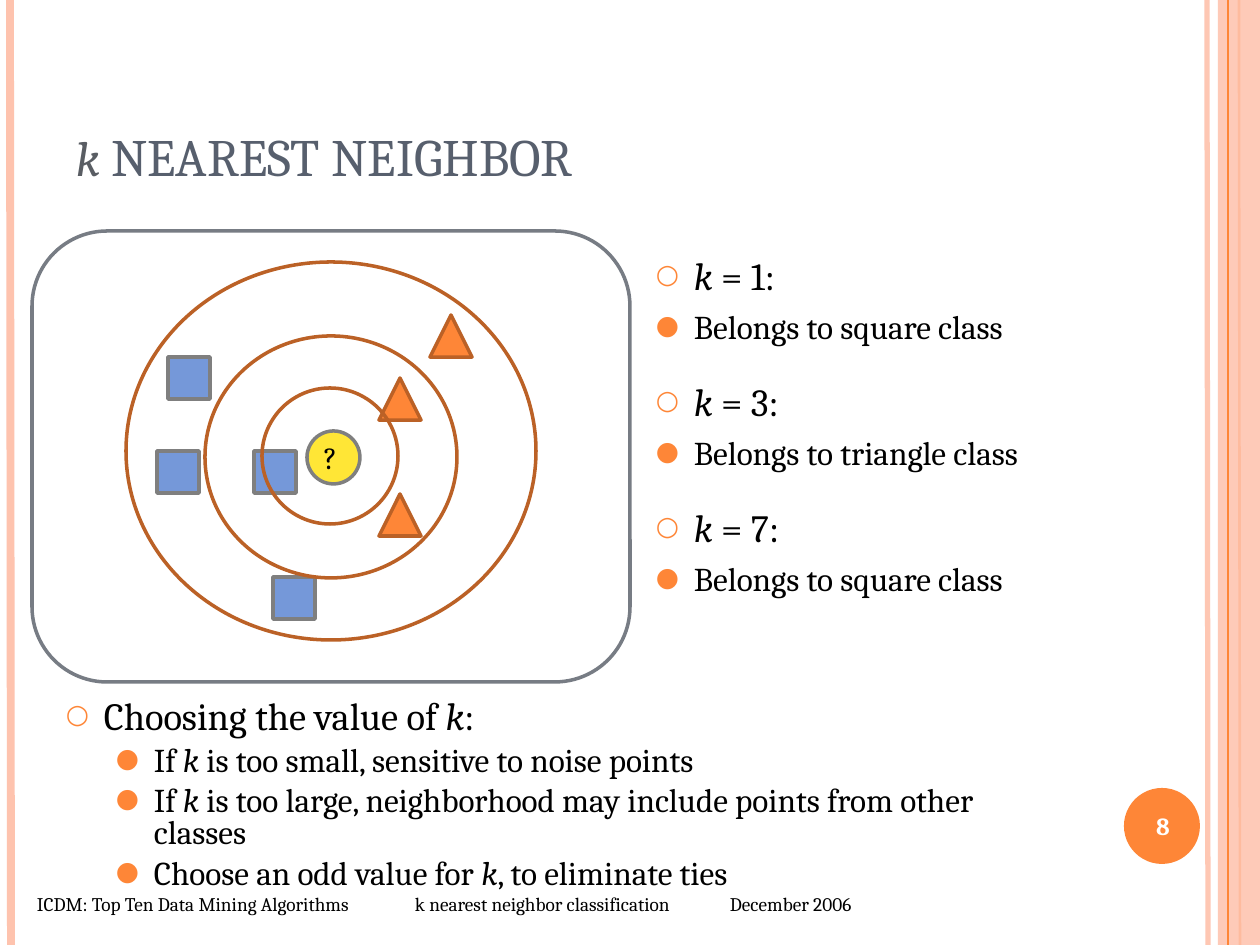
"""Build the k nearest neighbor slide."""
from lxml import etree
from pptx import Presentation
from pptx import util as u
from pptx.dml.color import RGBColor
from pptx.enum import shapes, text
from pptx.oxml.ns import qn

PX = 914400 / 126
FONT = "Cambria"
COLORS = {
    "peach": "FEC3AE", "orange": "FE8637", "rust": "BB6126", "frame": "777C84",
    "square": "7598D9", "edge": "7F7F7F", "query": "FFE636", "title": "575F6D",
    "title_k": "595D63", "black": "000000", "white": "FFFFFF",
}
RGB = {name: RGBColor.from_string(value) for name, value in COLORS.items()}
STYLES = {
    "plain": dict(size=11, indent=5),
    "mark": dict(size=18),
    "number": dict(size=14, indent=5),
    "title": dict(size=30, indent=5),
    "head": dict(size=22, indent=43, before=6, bullet="○", scale=69),
    "answer": dict(size=19, indent=43, before=4.5, bullet="●", scale=80),
    "detail": dict(size=19, indent=93, before=5, bullet="●", scale=80, level=1),
}

prs = Presentation()
prs.slide_width, prs.slide_height = u.Inches(10), u.Inches(7.5)
slide = prs.slides.add_slide(prs.slide_layouts[5])


def add_shape(kind, box, fill=None, line=None):
    shape = slide.shapes.add_shape(kind, *[round(v * PX) for v in box])
    shape.shadow.inherit = False
    if fill:
        shape.fill.solid()
        shape.fill.fore_color.rgb = RGB[fill]
    else:
        shape.fill.background()
    if line:
        shape.line.color.rgb = RGB[line]
        shape.line.width = u.Pt(2)
    else:
        shape.line.fill.background()
    return shape


def write(box, paragraphs, holder=None, insets=(0, 0, 5, 0), color="black",
          align="LEFT", anchor="TOP", spacing=1.0):
    """Fill a text box; pieces between bars are italic."""
    holder = holder or slide.shapes.add_textbox(0, 0, 0, 0)
    holder.left, holder.top, holder.width, holder.height = [round(v * PX) for v in box]
    frame = holder.text_frame
    frame.word_wrap = True
    frame.auto_size = text.MSO_AUTO_SIZE.NONE
    frame.vertical_anchor = text.MSO_ANCHOR[anchor]
    (frame.margin_left, frame.margin_top,
     frame.margin_right, frame.margin_bottom) = [round(v * PX) for v in insets]
    for index, (style_name, wording) in enumerate(paragraphs):
        style = STYLES[style_name]
        para = frame.paragraphs[0] if index == 0 else frame.add_paragraph()
        para.alignment = text.PP_ALIGN[align]
        para.level = style.get("level", 0)
        para.line_spacing = spacing
        para.space_before = u.Pt(style.get("before", 0))
        props = para._p.get_or_add_pPr()
        props.set("marL", str(round(style.get("indent", 0) * PX)))
        props.set("indent", str(round(-38 * PX)) if "bullet" in style else "0")
        if "bullet" in style:
            bullet_color = etree.SubElement(props, qn("a:buClr"))
            etree.SubElement(bullet_color, qn("a:srgbClr"), val=COLORS["orange"])
            etree.SubElement(props, qn("a:buSzPct"), val=str(style["scale"] * 1000))
            etree.SubElement(props, qn("a:buFont"), typeface=FONT)
            etree.SubElement(props, qn("a:buChar"), char=style["bullet"])
        for position, piece in enumerate(wording.split("|")):
            if piece:
                run = para.add_run()
                run.text = piece
                run.font.name = FONT
                run.font.size = u.Pt(style["size"])
                run.font.italic = position % 2 == 1
                run.font.color.rgb = RGB[color]
    return frame


for x, drift, color, weight, opacity in [
    (1207, 1, "peach", 3, 93), (10, 1, "peach", 4.5, 100),
    (1239, 1, "orange", 1.5, 100), (1218, 0, "peach", 0, 87),
    (1228, 0, "orange", 0.75, 100),
]:
    if weight:
        stripe = slide.shapes.add_connector(
            shapes.MSO_CONNECTOR.STRAIGHT, round(x * PX), 0, round((x + drift) * PX), round(945 * PX))
        stripe.line.color.rgb = RGB[color]
        stripe.line.width = u.Pt(weight)
        etree.SubElement(stripe._element.spPr, qn("a:effectLst"))
    else:
        stripe = add_shape(shapes.MSO_SHAPE.RECTANGLE, (x, 0, 42, 945), color)
    if opacity < 100:
        tint = next(stripe._element.spPr.iter(qn("a:srgbClr")))
        etree.SubElement(tint, qn("a:alpha"), val=str(opacity * 1000))

add_shape(shapes.MSO_SHAPE.OVAL, (1124, 788, 76, 76), "orange")
page = write((1120, 804, 86, 44), [("number", "8")], color="white", align="CENTER", anchor="MIDDLE")
page.paragraphs[0].runs[0].font.bold = True

title = write((63, 0, 1029, 195), [("title", "|k| NEAREST NEIGHBOR")], slide.shapes.title,
              insets=(8, 8, 18, 8), color="title", anchor="BOTTOM")
title_k = title.paragraphs[0].runs[0].font
title_k.size = u.Pt(28)
title_k.color.rgb = RGB["title_k"]

write((53, 693, 1018, 252), [
    ("head", "Choosing the value of |k|:"),
    ("detail", "If |k| is too small, sensitive to noise points"),
    ("detail", "If |k| is too large, neighborhood may include points from other classes"),
    ("detail", "Choose an odd value for |k|, to eliminate ties"),
], insets=(8, 8, 18, 8), spacing=0.8)

for row, (k, winner) in enumerate([(1, "square"), (3, "triangle"), (7, "square")]):
    write((651, 252 + 126 * row, 537, 111),
          [("head", f"|k| = {k}:"), ("answer", f"Belongs to {winner} class")])

footer = write((32, 892, 1147, 37), [
    ("plain", "ICDM: Top Ten Data Mining Algorithms\t\tk nearest neighbor classification\tDecember 2006")])
tabs = etree.SubElement(footer.paragraphs[0]._p.get_or_add_pPr(), qn("a:tabLst"))
for inches in (3, 4, 7):
    etree.SubElement(tabs, qn("a:tab"), pos=str(u.Inches(inches)), algn="l")

add_shape(shapes.MSO_SHAPE.OVAL, (126, 262, 410, 378), line="rust")
add_shape(shapes.MSO_SHAPE.ROUNDED_RECTANGLE, (32, 231, 598, 451), line="frame")
for x, y in [(430, 315), (379, 494), (379, 378)]:
    add_shape(shapes.MSO_SHAPE.ISOSCELES_TRIANGLE, (x, y, 42, 42), "orange", "rust")
for x, y in [(273, 577), (168, 357), (157, 451), (254, 451)]:
    add_shape(shapes.MSO_SHAPE.RECTANGLE, (x, y, 42, 42), "square", "edge")
add_shape(shapes.MSO_SHAPE.OVAL, (307, 431, 53, 53), "query", "edge")
write((315, 432, 37, 49), [("mark", "?")], insets=(5, 5, 11, 5), align="CENTER", anchor="MIDDLE")
for box in [(205, 336, 252, 242), (262, 388, 136, 136)]:
    add_shape(shapes.MSO_SHAPE.OVAL, box, line="rust")

prs.save("out.pptx")
